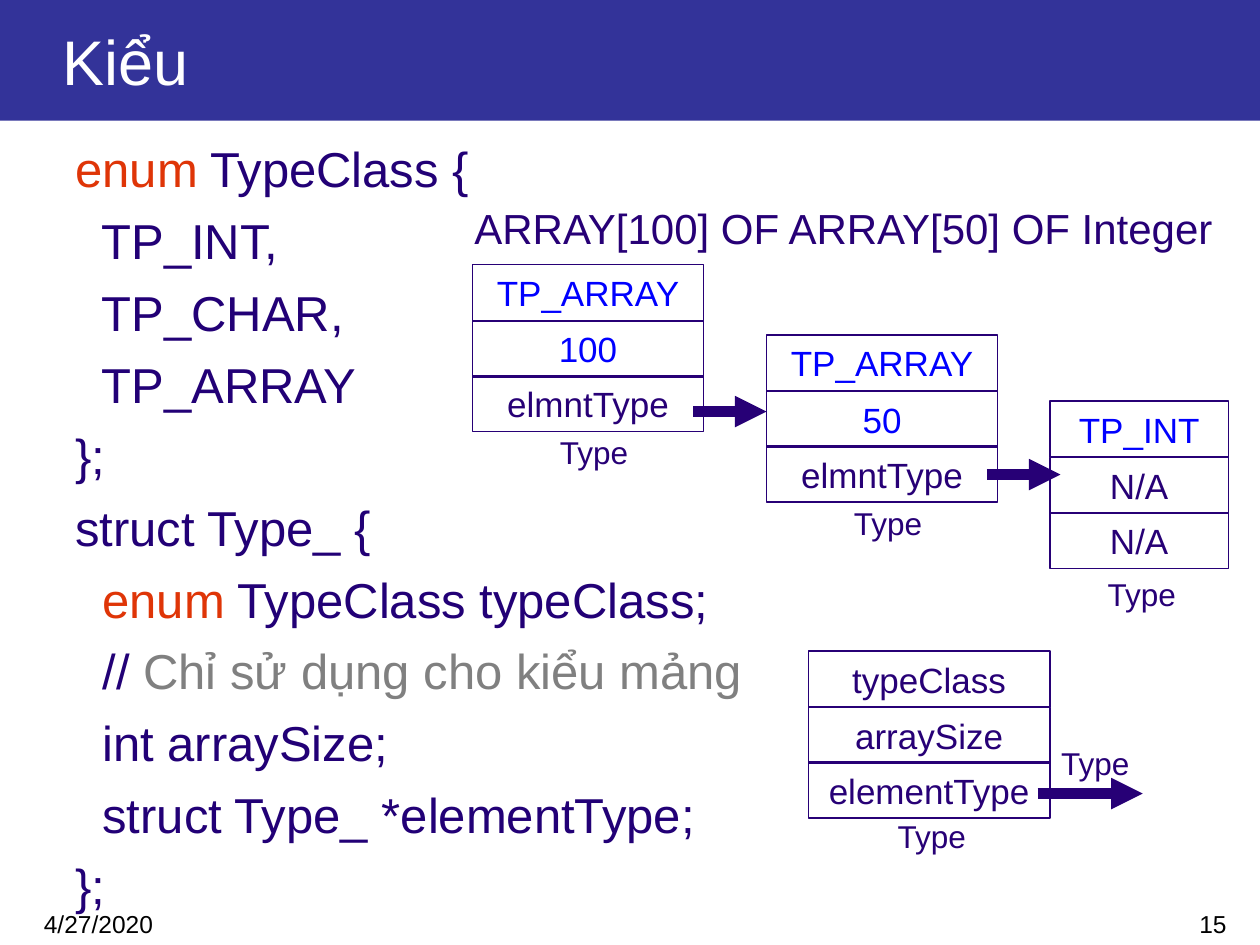
from pptx import Presentation
from pptx.dml.color import RGBColor
from pptx.enum.shapes import MSO_CONNECTOR as Connector, MSO_SHAPE as Shape
from pptx.enum.text import MSO_ANCHOR as Anchor, PP_ALIGN as Align
from pptx.oxml.ns import qn
from pptx.util import Pt
from lxml.etree import SubElement

FONT = "Arial"
BLACK = RGBColor(0x00, 0x00, 0x00)
WHITE = RGBColor(0xFF, 0xFF, 0xFF)
BANNER = RGBColor(0x33, 0x33, 0x99)
CODE = RGBColor(0x22, 0x00, 0x76)
KEYWORD = RGBColor(0xDF, 0x35, 0x07)
COMMENT = RGBColor(0x80, 0x80, 0x80)
INK = RGBColor(0x27, 0x00, 0x76)
VALUE = RGBColor(0x00, 0x00, 0xFF)

FIELD_HEIGHT = 32
FIELD_OFFSETS = (0, 32.4, 63.5)
LABEL_SIZE = (81, 28.8)

CODE_LINES = [
    [("enum", KEYWORD), (" TypeClass {", CODE)],
    [("  TP_INT,", CODE)],
    [("  TP_CHAR,", CODE)],
    [("  TP_ARRAY", CODE)],
    [("};", CODE)],
    [("struct Type_ {", CODE)],
    [("  enum", KEYWORD), (" TypeClass typeClass;", CODE)],
    [("  // ", CODE), ("Chỉ sử dụng cho kiểu mảng", COMMENT)],
    [("  int arraySize;", CODE)],
    [("  struct Type_ *elementType;", CODE)],
    [("};", CODE)],
]

RECORDS = [
    (462, 372, 138, (492, 463.4),
     [("typeClass", INK), ("arraySize", INK), ("elementType", INK)]),
    (438, 191.4, 132, (467, 284.5),
     [("TP_ARRAY", VALUE), ("50", VALUE), ("elmntType", INK)]),
    (600, 229.2, 102, (612, 325),
     [("TP_INT", VALUE), ("N/A", INK), ("N/A", INK)]),
    (270, 151, 132, (299, 244),
     [("TP_ARRAY", VALUE), ("100", VALUE), ("elmntType", INK)]),
]

ARROWS = [(593, 653, 453.5), (396, 438, 235.2), (564, 606, 271.2)]


def style_font(font, size, color):
    """Apply the slide's typeface with a size and colour."""
    font.name = FONT
    font.size = Pt(size)
    font.color.rgb = color


def write_line(shape, text, size, color, align, anchor):
    """Put one styled line of text into a shape."""
    frame = shape.text_frame
    frame.text = text
    frame.word_wrap = True
    frame.vertical_anchor = anchor
    para = frame.paragraphs[0]
    para.alignment = align
    style_font(para.runs[0].font, size, color)


def add_label(page, text, place, size, color=INK, align=Align.LEFT):
    """Add a one-line text box."""
    box = page.shapes.add_textbox(*map(Pt, place))
    write_line(box, text, size, color, align, Anchor.TOP)


def add_rectangle(page, place):
    """Add a rectangle without shadow."""
    box = page.shapes.add_shape(Shape.RECTANGLE, *map(Pt, place))
    box.shadow.inherit = False
    return box


def add_banner(page, text):
    """Add the title band across the top."""
    banner = add_rectangle(page, (0, 0, 720, 69))
    banner.fill.solid()
    banner.fill.fore_color.rgb = BANNER
    banner.line.fill.background()
    banner.text_frame.margin_left = Pt(36)
    write_line(banner, text, 36, WHITE, Align.LEFT, Anchor.MIDDLE)


def add_code(page):
    """Add the type declarations as coloured code."""
    frame = page.shapes.add_textbox(Pt(36), Pt(72.5), Pt(438), Pt(455.5)).text_frame
    frame.word_wrap = True
    for index, pieces in enumerate(CODE_LINES):
        para = frame.add_paragraph() if index else frame.paragraphs[0]
        para.line_spacing = 1.1
        para.space_before = Pt(4 if index else 0)
        properties = para._p.get_or_add_pPr()
        properties.set("marL", str(Pt(27)))
        properties.set("indent", str(Pt(-27)))
        for text, color in pieces:
            span = para.add_run()
            span.text = text
            style_font(span.font, 28, color)


def add_record(page, left, top, width, label_place, fields):
    """Add a stack of field boxes with its type label."""
    for offset, (text, color) in zip(FIELD_OFFSETS, fields):
        box = add_rectangle(page, (left, top + offset, width, FIELD_HEIGHT))
        box.fill.background()
        box.line.color.rgb = INK
        box.line.width = Pt(0.75)
        write_line(box, text, 20, color, Align.CENTER, Anchor.MIDDLE)
    add_label(page, "Type", label_place + LABEL_SIZE, 18, align=Align.CENTER)


def add_arrow(page, start, end, level):
    """Add a thick horizontal pointer arrow."""
    arrow = page.shapes.add_connector(
        Connector.STRAIGHT, Pt(start), Pt(level), Pt(end), Pt(level))
    arrow.line.color.rgb = INK
    arrow.line.width = Pt(6)
    SubElement(arrow.line._get_or_add_ln(), qn("a:tailEnd"), type="triangle")
    SubElement(arrow._element.spPr, qn("a:effectLst"))


def main():
    """Build the slide and save it."""
    deck = Presentation()
    deck.slide_width, deck.slide_height = Pt(720), Pt(540)
    page = deck.slides.add_slide(deck.slide_layouts[6])
    add_label(page, "4/27/2020", (18, 516, 138, 24), 14, BLACK)
    add_label(page, "15", (558, 516, 150, 24), 14, BLACK, Align.RIGHT)
    add_banner(page, "Kiểu")
    add_code(page)
    for record in RECORDS:
        add_record(page, *record)
    for arrow in ARROWS:
        add_arrow(page, *arrow)
    add_label(page, "Type", (592.5, 421.5, 60, 28.8), 18, align=Align.RIGHT)
    add_label(page, "ARRAY[100] OF ARRAY[50] OF Integer", (264, 112, 444, 36), 24)
    deck.save("out.pptx")


if __name__ == "__main__":
    main()
